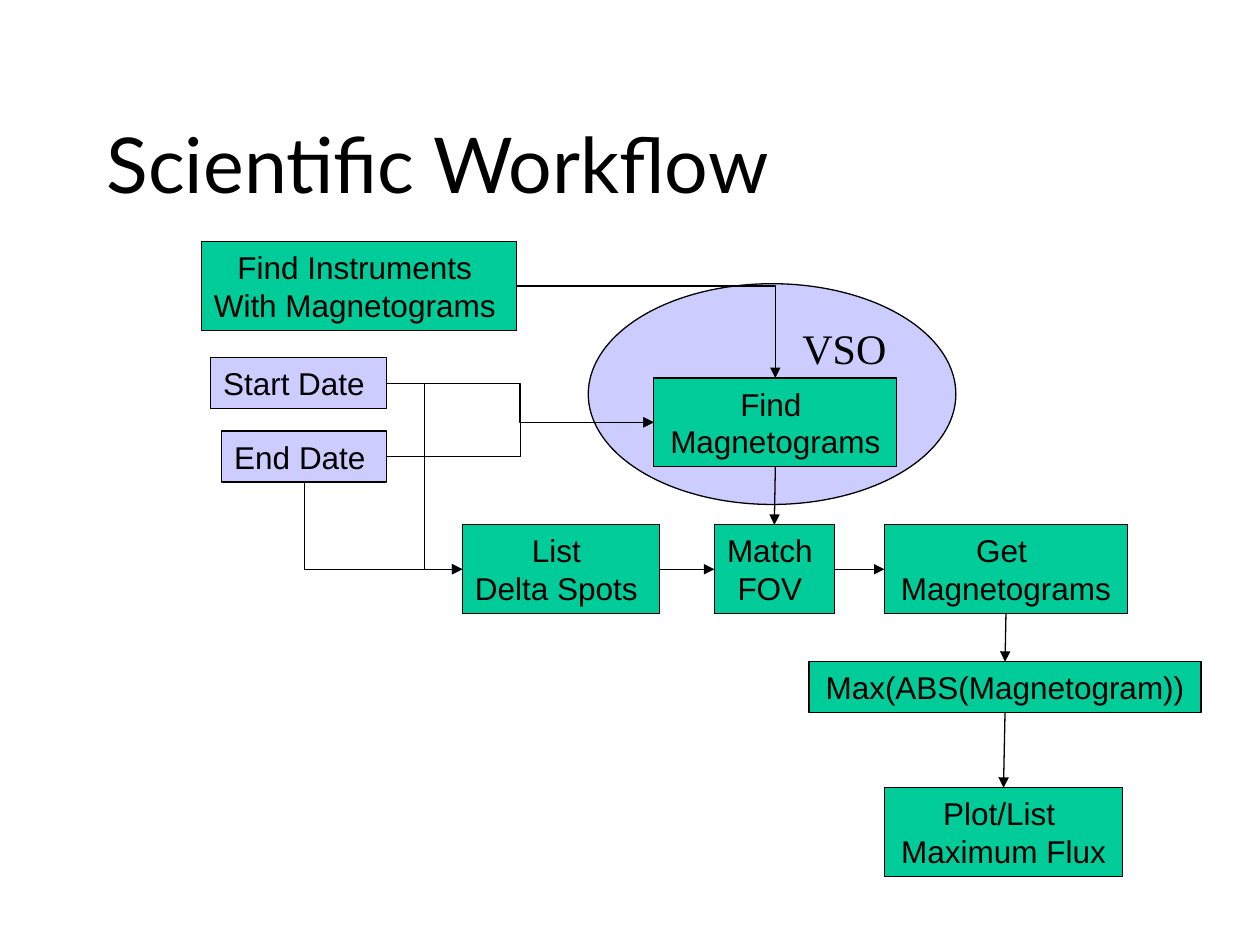
"""Build the Scientific Workflow flowchart slide."""
from dataclasses import dataclass

from lxml import etree
from pptx import Presentation
from pptx.dml.color import RGBColor
from pptx.enum.shapes import MSO_CONNECTOR, MSO_SHAPE
from pptx.enum.text import MSO_ANCHOR, MSO_AUTO_SIZE, PP_ALIGN
from pptx.oxml.ns import qn
from pptx.shapes.autoshape import Shape
from pptx.shapes.connector import Connector
from pptx.slide import Slide
from pptx.text.text import TextFrame
from pptx.util import Cm, Pt

RECTANGLE, ELLIPSE = MSO_SHAPE.RECTANGLE, MSO_SHAPE.OVAL
STRAIGHT, ELBOW = MSO_CONNECTOR.STRAIGHT, MSO_CONNECTOR.ELBOW
MIDDLE, TOP_ANCHOR = MSO_ANCHOR.MIDDLE, MSO_ANCHOR.TOP
LEFT_ALIGN, CENTER = PP_ALIGN.LEFT, PP_ALIGN.CENTER
FIT_TEXT = MSO_AUTO_SIZE.SHAPE_TO_FIT_TEXT
TOP, LEFT, BOTTOM, RIGHT = range(4)

COLORS = {"black": "000000", "step": "00CC99", "input": "CCCCFF"}
LINE_WIDTH = Pt(0.75)
BOX_PADDING, BOX_LINE = 0.27, 0.76
ROW_TOP = 10.58


@dataclass(frozen=True)
class Box:
    name: str
    label: str
    left: float
    top: float
    width: float
    color: str = "step"


@dataclass(frozen=True)
class Link:
    source: str
    source_side: int
    target: str
    target_side: int
    kind: MSO_CONNECTOR = STRAIGHT


BOXES = [
    Box("find", "Find \nMagnetograms ", 13.18, 7.62, 4.9),
    Box("max", "Max(ABS(Magnetogram)) ", 16.31, 13.34, 7.9),
    Box("instruments", "Find Instruments \nWith Magnetograms ", 4.06, 4.87, 6.36),
    Box("spots", "List \nDelta Spots ", 9.32, ROW_TOP, 3.97),
    Box("match", "Match \nFOV ", 14.4, ROW_TOP, 2.42),
    Box("get", "Get \nMagnetograms ", 17.83, ROW_TOP, 4.9),
    Box("plot", "Plot/List \nMaximum Flux ", 17.83, 15.88, 4.8),
    Box("start", "Start Date ", 4.24, 7.21, 3.55, "input"),
    Box("end", "End Date ", 4.47, 8.69, 3.33, "input"),
]

LINKS = [
    Link("get", BOTTOM, "max", TOP),
    Link("max", BOTTOM, "plot", TOP),
    Link("match", RIGHT, "get", LEFT),
    Link("find", BOTTOM, "match", TOP),
    Link("spots", RIGHT, "match", LEFT),
    Link("instruments", RIGHT, "find", TOP, ELBOW),
    Link("start", RIGHT, "find", LEFT, ELBOW),
    Link("start", RIGHT, "spots", LEFT, ELBOW),
    Link("end", RIGHT, "find", LEFT, ELBOW),
    Link("end", BOTTOM, "spots", LEFT, ELBOW),
]


def color(name: str) -> RGBColor:
    """Return the named colour."""
    return RGBColor.from_string(COLORS[name])


def write(frame: TextFrame, text: str, font: str, size: float, align: PP_ALIGN) -> None:
    """Fill a text frame with one paragraph per line."""
    frame.text = text
    for paragraph in frame.paragraphs:
        paragraph.alignment = align
        paragraph.font.name = font
        paragraph.font.size = Pt(size)
        paragraph.font.color.rgb = color("black")


def add_outlined(slide: Slide, kind: MSO_SHAPE, left: float, top: float,
                 width: float, height: float, fill: str) -> Shape:
    """Add a filled shape with a thin black outline."""
    shape = slide.shapes.add_shape(kind, Cm(left), Cm(top), Cm(width), Cm(height))
    shape.shadow.inherit = False
    shape.fill.solid()
    shape.fill.fore_color.rgb = color(fill)
    shape.line.color.rgb = color("black")
    shape.line.width = LINE_WIDTH
    return shape


def add_service(slide: Slide) -> None:
    """Add the ellipse that marks the VSO service."""
    ellipse = add_outlined(slide, ELLIPSE, 11.86, 5.72, 7.41, 4.45, "input")
    frame = ellipse.text_frame
    frame.word_wrap = True
    frame.vertical_anchor = TOP_ANCHOR
    frame.margin_left, frame.margin_right = Cm(3.23), 0
    write(frame, "VSO", "Times New Roman", 24, LEFT_ALIGN)


def add_title(slide: Slide) -> None:
    """Add the slide title."""
    frame = slide.shapes.add_textbox(Cm(1.9), Cm(1.7), Cm(16.3), Cm(3.18)).text_frame
    frame.word_wrap = True
    frame.vertical_anchor = MIDDLE
    write(frame, "Scientific Workflow", "Lato", 44, LEFT_ALIGN)


def add_box(slide: Slide, box: Box) -> Shape:
    """Add one labelled box, as tall as its lines need."""
    height = BOX_PADDING + BOX_LINE * len(box.label.split("\n"))
    shape = add_outlined(slide, RECTANGLE, box.left, box.top, box.width, height, box.color)
    frame = shape.text_frame
    frame.word_wrap = False
    frame.auto_size = FIT_TEXT
    frame.vertical_anchor = MIDDLE
    write(frame, box.label, "Arial", 18, CENTER)
    return shape


def make_single_bend(connector: Connector, starts_down: bool) -> None:
    """Give an elbow one corner, turning it when it starts downwards."""
    properties = connector._element.spPr
    properties.find(qn("a:prstGeom")).set("prst", "bentConnector2")
    if starts_down:
        width, height = connector.width, connector.height
        connector.left += (width - height) // 2
        connector.top += (height - width) // 2
        connector.width, connector.height = height, width
        transform = properties.find(qn("a:xfrm"))
        transform.set("rot", "16200000")
        transform.set("flipH", "1")


def add_link(slide: Slide, link: Link, shapes: dict[str, Shape]) -> None:
    """Add an arrow glued to two boxes."""
    connector = slide.shapes.add_connector(link.kind, 0, 0, 0, 0)
    connector.begin_connect(shapes[link.source], link.source_side)
    connector.end_connect(shapes[link.target], link.target_side)
    if link.kind == ELBOW and (link.source_side, link.target_side) != (RIGHT, LEFT):
        make_single_bend(connector, link.source_side == BOTTOM)
    connector.line.color.rgb = color("black")
    connector.line.width = LINE_WIDTH
    etree.SubElement(connector.line._get_or_add_ln(), qn("a:tailEnd"), type="triangle")
    etree.SubElement(connector._element.spPr, qn("a:effectLst"))


def main() -> None:
    """Build and save the presentation."""
    presentation = Presentation()
    presentation.slide_width, presentation.slide_height = Cm(25.4), Cm(19.05)
    slide = presentation.slides.add_slide(presentation.slide_layouts[6])
    add_service(slide)
    add_title(slide)
    shapes = {box.name: add_box(slide, box) for box in BOXES}
    for link in LINKS:
        add_link(slide, link, shapes)
    presentation.save("out.pptx")


if __name__ == "__main__":
    main()
